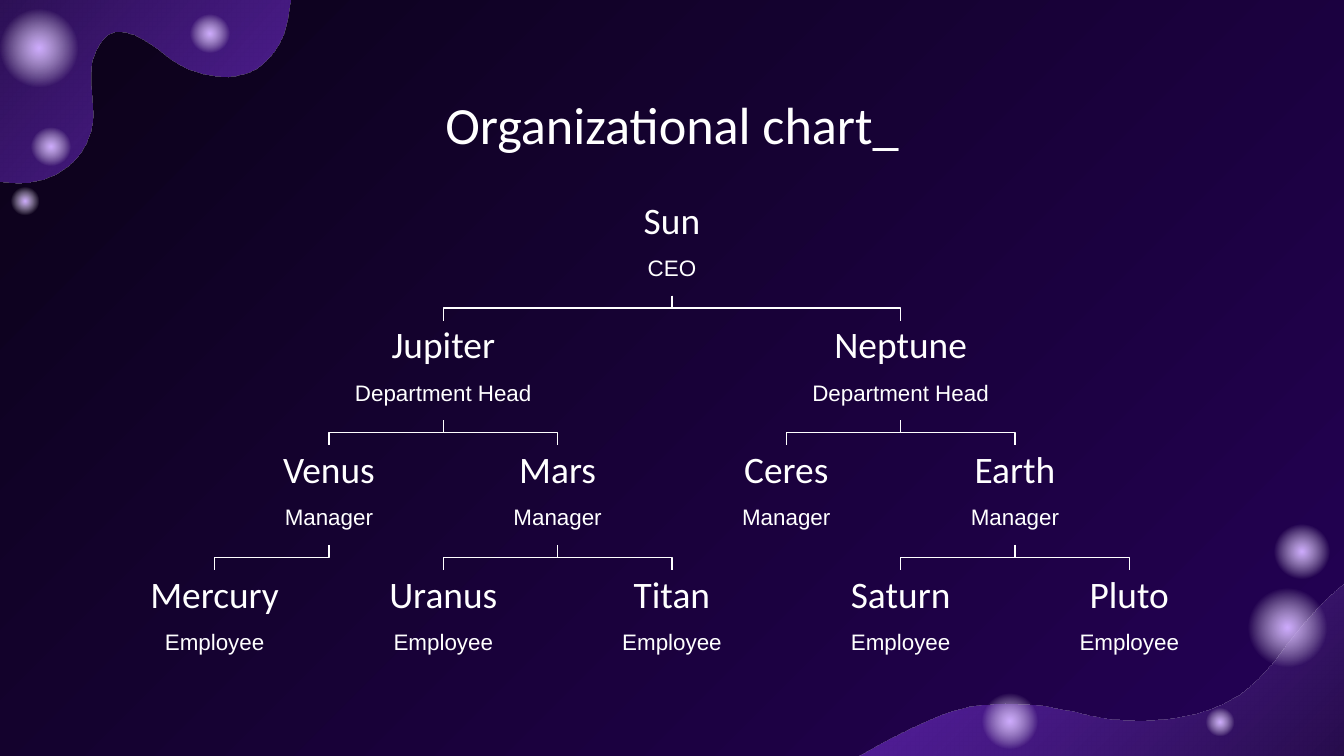
"""Build an organizational chart slide with a dark, glowing backdrop."""
from dataclasses import dataclass
from typing import NamedTuple

from lxml import etree
from pptx import Presentation
from pptx.dml.color import RGBColor
from pptx.enum.shapes import MSO_CONNECTOR, MSO_SHAPE
from pptx.enum.text import MSO_ANCHOR, PP_ALIGN
from pptx.oxml.ns import qn
from pptx.util import Pt

ELBOW = MSO_CONNECTOR.ELBOW
OVAL = MSO_SHAPE.OVAL
TOP, BOTTOM = MSO_ANCHOR.TOP, MSO_ANCHOR.BOTTOM
CENTER = PP_ALIGN.CENTER


class Stop(NamedTuple):
    pos: int
    color: str
    alpha: int = 100


class Dot(NamedTuple):
    left: float
    top: float
    size: float


class Node(NamedTuple):
    name: str
    row: int
    col: int
    boss: str = ""


class Wave(NamedTuple):
    start: tuple[float, float]
    angle: int
    bends: list[tuple[float, ...]]


@dataclass(frozen=True)
class Theme:
    ink: str = "FFFFFF"
    head: str = "Calibri"
    body: str = "Arial"
    title: int = 28
    name: int = 20
    role: int = 12
    rule: float = 0.75
    back: tuple = (Stop(0, "0B0218"), Stop(100, "240155"))
    wave: tuple = (Stop(0, "0B0218"), Stop(100, "8134EC", 70))
    glow: tuple = (Stop(0, "CEABFF"), Stop(57, "FFFFFF", 0), Stop(100, "FFFFFF", 0))


THEME = Theme()
WIDE, HIGH = 720, 405
COL, ROW, FIRST = 61.25, 66.75, 105
BOX, NAME_H, ROLE_H, DROP = 117.5, 31.7, 29.4, 24
GAP = ROW - DROP - ROLE_H
STEPS = 12

ROLES = ["CEO", "Department Head", "Manager", "Employee"]
NODES = [
    Node("Sun", 0, 0),
    Node("Jupiter", 1, -2, "Sun"),
    Node("Neptune", 1, 2, "Sun"),
    Node("Venus", 2, -3, "Jupiter"),
    Node("Mars", 2, -1, "Jupiter"),
    Node("Ceres", 2, 1, "Neptune"),
    Node("Earth", 2, 3, "Neptune"),
    Node("Mercury", 3, -4, "Venus"),
    Node("Uranus", 3, -2, "Mars"),
    Node("Titan", 3, 0, "Mars"),
    Node("Saturn", 3, 2, "Earth"),
    Node("Pluto", 3, 4, "Earth"),
]
DOTS = [
    Dot(14.4, 65.5, 26), Dot(4.3, 98.6, 18.7), Dot(99.4, 5, 26), Dot(-5, 0, 52),
    Dot(663.8, 310.3, 52), Dot(679, 277.2, 36.7), Dot(522.7, 368, 36.7),
    Dot(644.4, 377.3, 18.7),
]
WAVES = [
    Wave((743, 297.4), 225, [
        (721.4, 308.2, 709.2, 321.1, 694.8, 337.7),
        (683.3, 352.1, 673.9, 367.9, 655.2, 376.6),
        (635.8, 385.9, 605.5, 388.1, 583.2, 383),
        (559.4, 376.6, 530.6, 373, 506.9, 381.6),
        (482.4, 391, 460.1, 404.6, 438.5, 416.9),
        (424.1, 425.5, 410.4, 434.2, 398.2, 444.2),
        (820.1, 444.2),
        (820.8, 283),
        (815.8, 281.5, 810.7, 280.8, 805, 280.8),
        (783.4, 280.8, 759.6, 289.4, 743, 297.4),
    ]),
    Wave((-54, 104.4), 42, [
        (-49, 100.8, -42.5, 96.5, -36.7, 95),
        (-27.4, 92.9, -18, 94.3, -8.6, 95.8),
        (-1.4, 97.2, 5, 97.9, 11.5, 97.9),
        (28.1, 97.2, 41.8, 88.6, 47.5, 73.4),
        (54, 57.6, 43.2, 40.3, 52.6, 24.5),
        (62.6, 7.2, 80.6, 23.8, 91.4, 31.7),
        (103.7, 40.3, 123.8, 45.4, 137.5, 36.7),
        (144, 32.4, 149, 25.2, 151.9, 18),
        (154.8, 9.4, 154.8, 0.7, 157, -7.2),
        (159.1, -14.4, 164.2, -23.8, 171.4, -27.4),
        (179.3, -31, 187.9, -31.7, 196.6, -33.1),
        (230.4, -40.3, 262.1, -62.6, 274.3, -95.8),
        (275.8, -100.1, 277.2, -106.6, 276.5, -110.9),
        (-87.1, -94.3),
        (-72, 127.4),
        (-69.8, 119.5, -59.8, 109.4, -54, 104.4),
    ]),
]


def blend(owner, fill, stops: tuple, angle: int | None = None) -> None:
    """Fill with a linear gradient, or a round one when no angle is given."""
    fill.gradient()
    grad = next(owner.element.iter(qn("a:gradFill")))
    for child in list(grad):
        grad.remove(child)
    group = etree.SubElement(grad, qn("a:gsLst"))
    for stop in stops:
        mark = etree.SubElement(group, qn("a:gs"), pos=str(stop.pos * 1000))
        color = etree.SubElement(mark, qn("a:srgbClr"), val=stop.color)
        if stop.alpha < 100:
            etree.SubElement(color, qn("a:alpha"), val=str(stop.alpha * 1000))
    if angle is None:
        ring = etree.SubElement(grad, qn("a:path"), path="circle")
        sides = dict.fromkeys("ltrb", "50000")
        etree.SubElement(ring, qn("a:fillToRect"), **sides)
    else:
        etree.SubElement(grad, qn("a:lin"), ang=str(angle * 60000), scaled="0")


def curve(start: tuple, bend: tuple) -> list[tuple[int, int]]:
    """Return points along a cubic curve, or the end point of a line."""
    if len(bend) == 2:
        return [(Pt(bend[0]), Pt(bend[1]))]
    knots = [start, bend[:2], bend[2:4], bend[4:]]
    points = []
    for step in range(1, STEPS + 1):
        t = step / STEPS
        u = 1 - t
        mix = (u ** 3, 3 * u * u * t, 3 * u * t * t, t ** 3)
        x, y = (sum(m * k[axis] for m, k in zip(mix, knots)) for axis in (0, 1))
        points.append((Pt(x), Pt(y)))
    return points


def add_wave(slide, wave: Wave) -> None:
    """Draw one flowing corner."""
    pen = slide.shapes.build_freeform(Pt(wave.start[0]), Pt(wave.start[1]))
    here = wave.start
    for bend in wave.bends:
        pen.add_line_segments(curve(here, bend), close=False)
        here = bend[-2:]
    pen.add_line_segments([], close=True)
    shape = pen.convert_to_shape()
    shape.shadow.inherit = False
    shape.line.fill.background()
    blend(shape, shape.fill, THEME.wave, wave.angle)


def add_dot(slide, dot: Dot) -> None:
    """Draw one glowing dot."""
    size = Pt(dot.size)
    shape = slide.shapes.add_shape(OVAL, Pt(dot.left), Pt(dot.top), size, size)
    shape.shadow.inherit = False
    shape.line.fill.background()
    blend(shape, shape.fill, THEME.glow)


def add_text(slide, text: str, *, mid: float, top: float, wide: float, high: float,
             font: str, size: int, anchor=TOP):
    """Add a centred text box and return it."""
    box = slide.shapes.add_textbox(Pt(mid - wide / 2), Pt(top), Pt(wide), Pt(high))
    frame = box.text_frame
    frame.word_wrap = True
    frame.vertical_anchor = anchor
    frame.margin_left = frame.margin_right = Pt(7.2)
    frame.margin_top = frame.margin_bottom = Pt(7.2)
    para = frame.paragraphs[0]
    para.alignment = CENTER
    run = para.add_run()
    run.text = text
    run.font.name, run.font.size = font, Pt(size)
    run.font.color.rgb = RGBColor.from_string(THEME.ink)
    return box


def add_node(slide, node: Node) -> tuple:
    """Add a name above its role and return both boxes."""
    mid, top = WIDE / 2 + node.col * COL, FIRST + node.row * ROW
    name = add_text(slide, node.name, mid=mid, top=top, wide=BOX, high=NAME_H,
                    font=THEME.head, size=THEME.name, anchor=BOTTOM)
    role = add_text(slide, ROLES[node.row], mid=mid, top=top + DROP, wide=BOX,
                    high=ROLE_H, font=THEME.body, size=THEME.role)
    return name, role


def add_link(slide, boss: Node, node: Node, role, name) -> None:
    """Join a role to the name below it with a turned elbow."""
    link = slide.shapes.add_connector(ELBOW, 0, 0, 0, 0)
    link.begin_connect(role, 2)
    link.end_connect(name, 0)
    span = abs(node.col - boss.col) * COL
    mid = WIDE / 2 + (node.col + boss.col) / 2 * COL
    level = FIRST + node.row * ROW - GAP / 2
    link.left, link.top = Pt(mid - GAP / 2), Pt(level - span / 2)
    link.width, link.height = Pt(GAP), Pt(span)
    right = node.col > boss.col
    frame = link.element.spPr.find(qn("a:xfrm"))
    frame.set("rot", str((270 if right else 90) * 60000))
    frame.set("flipH", str(int(right)))
    frame.set("flipV", "0")
    link.line.color.rgb = RGBColor.from_string(THEME.ink)
    link.line.width = Pt(THEME.rule)
    etree.SubElement(link.element.spPr, qn("a:effectLst"))


def main() -> None:
    """Build and save the slide."""
    deck = Presentation()
    deck.slide_width, deck.slide_height = Pt(WIDE), Pt(HIGH)
    slide = deck.slides.add_slide(deck.slide_layouts[6])
    blend(slide, slide.background.fill, THEME.back, 45)
    for wave in WAVES:
        add_wave(slide, wave)
    for dot in DOTS:
        add_dot(slide, dot)
    add_text(slide, "Organizational chart_", mid=WIDE / 2, top=42.5, wide=607,
             high=45.4, font=THEME.head, size=THEME.title)
    boxes = {node.name: add_node(slide, node) for node in NODES}
    staff = {node.name: node for node in NODES}
    for node in NODES:
        if node.boss:
            add_link(slide, staff[node.boss], node, boxes[node.boss][1],
                     boxes[node.name][0])
    deck.save("out.pptx")


if __name__ == "__main__":
    main()
